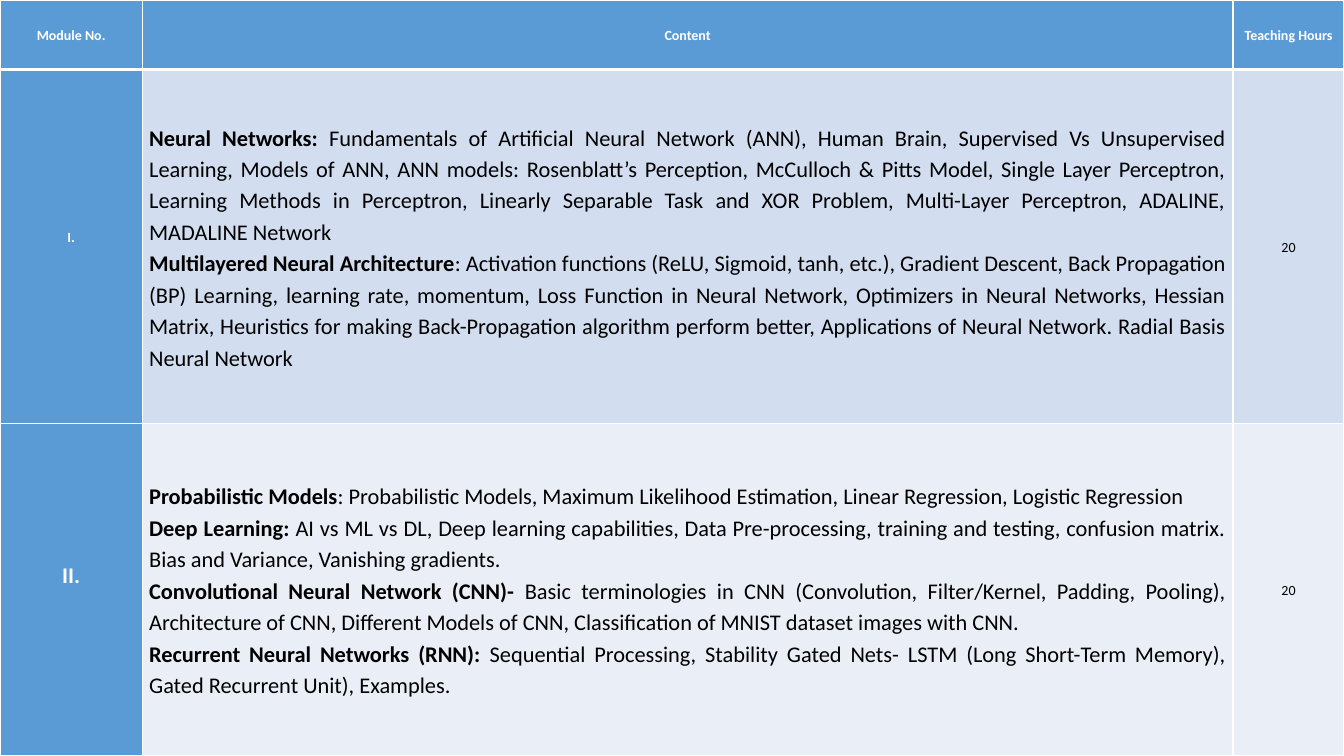
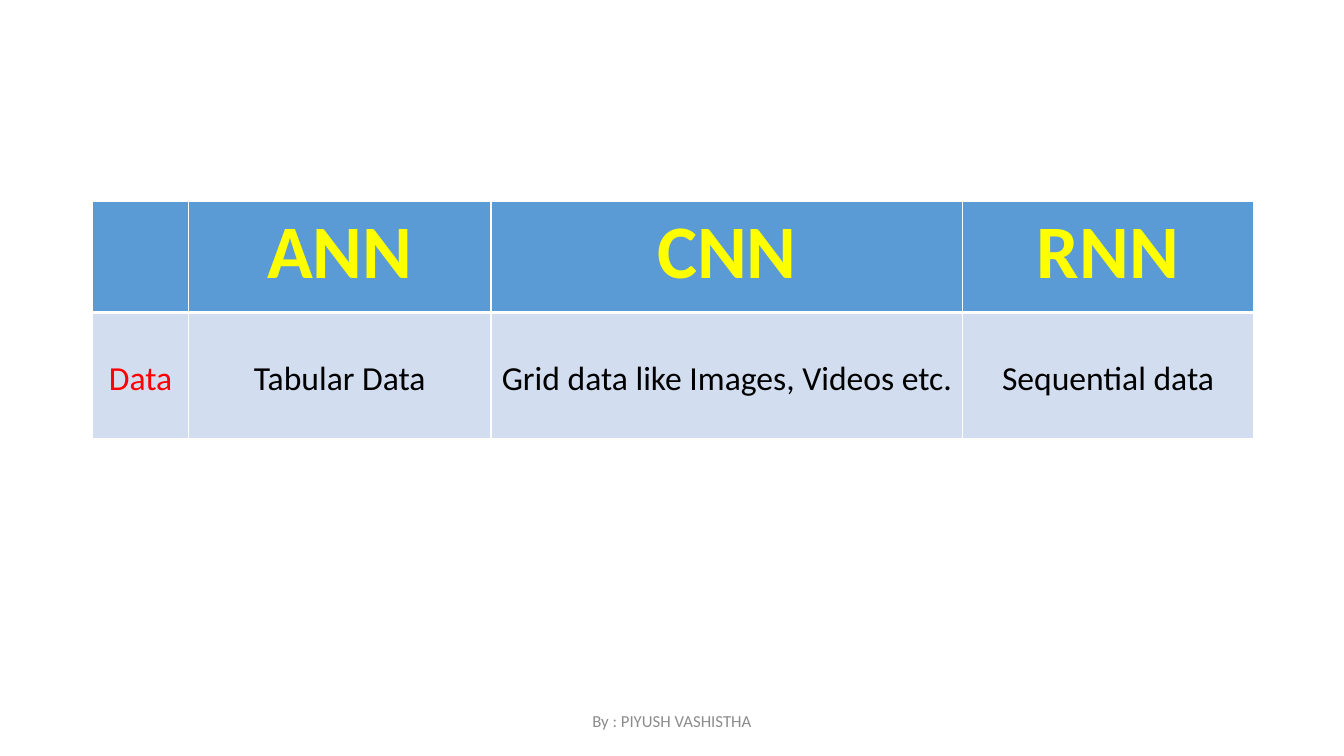
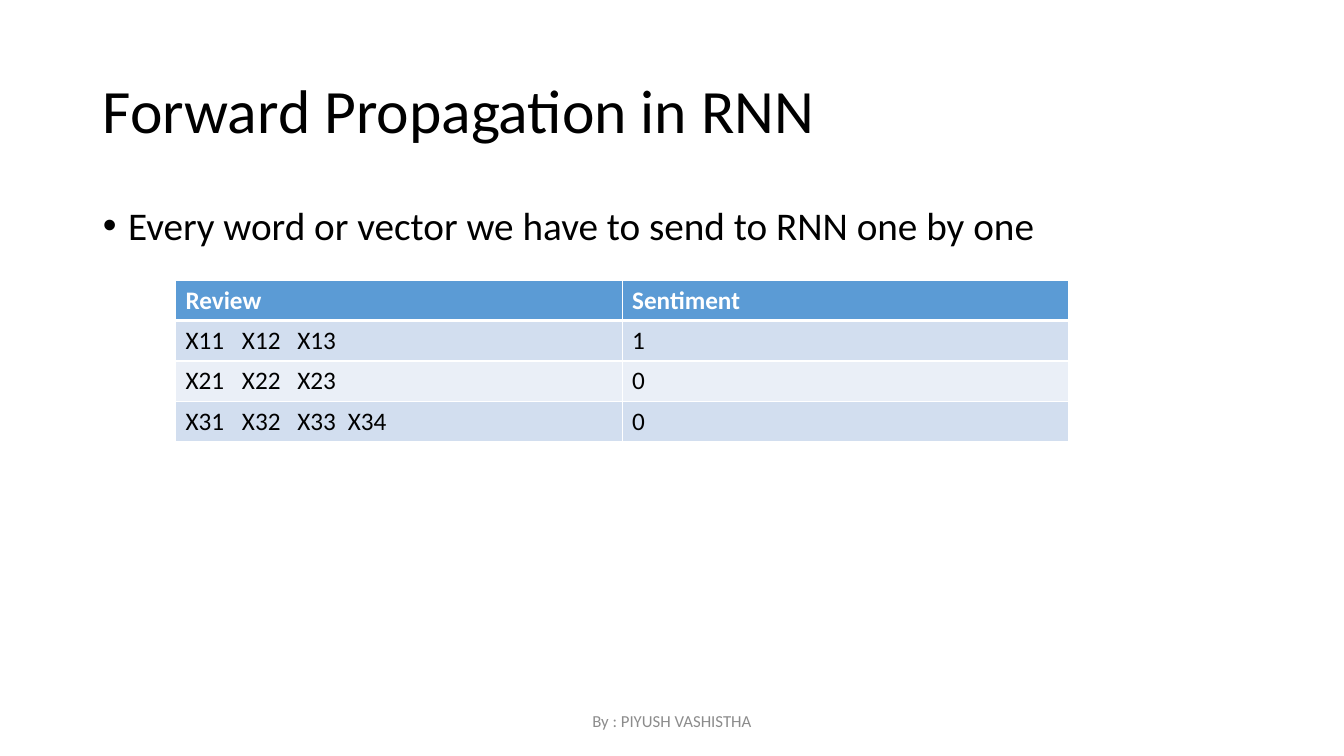
from lxml import etree
from pptx import Presentation
from pptx.dml.color import RGBColor
from pptx.enum.text import MSO_ANCHOR, MSO_AUTO_SIZE, PP_ALIGN
from pptx.oxml.ns import qn
from pptx.util import Inches, Pt

LEFT, CENTER, JUSTIFY = PP_ALIGN.LEFT, PP_ALIGN.CENTER, PP_ALIGN.JUSTIFY
TOP, MIDDLE = MSO_ANCHOR.TOP, MSO_ANCHOR.MIDDLE
NO_FIT = MSO_AUTO_SIZE.NONE

BLUE = RGBColor(0x5B, 0x9B, 0xD5)
BAND_DARK = RGBColor(0xD2, 0xDE, 0xEF)
BAND_LIGHT = RGBColor(0xEA, 0xEF, 0xF7)
WHITE = RGBColor(0xFF, 0xFF, 0xFF)
BLACK = RGBColor(0, 0, 0)
RED = RGBColor(0xFF, 0, 0)
YELLOW = RGBColor(0xFF, 0xFF, 0)
GRAY = RGBColor(0x8C, 0x8C, 0x8C)

FONT = "Calibri"
SLIDE_W, SLIDE_H = 13.33, 7.5
MARGIN = 0.92
CONTENT_W = SLIDE_W - 2 * MARGIN
BODY_TOP = 2
FOOTER_W = 4.5
LINE, HEADER_LINE = 1, 3
TITLE_AND_CONTENT, BLANK = 1, 6

# Each paragraph is a bold lead followed by plain text
MODULE_1 = [
    ("Neural Networks: ",
     "Fundamentals of Artificial Neural Network (ANN), Human Brain, Supervised Vs "
     "Unsupervised Learning, Models of ANN, ANN models: Rosenblatt’s Perception, "
     "McCulloch & Pitts Model, Single Layer Perceptron, Learning Methods in Perceptron, "
     "Linearly Separable Task and XOR Problem, Multi-Layer Perceptron, ADALINE, "
     "MADALINE Network"),
    ("Multilayered Neural Architecture",
     ": Activation functions (ReLU, Sigmoid, tanh, etc.), Gradient Descent, Back "
     "Propagation (BP) Learning, learning rate, momentum, Loss Function in Neural "
     "Network, Optimizers in Neural Networks, Hessian Matrix, Heuristics for making "
     "Back-Propagation algorithm perform better, Applications of Neural Network. "
     "Radial Basis Neural Network"),
]
MODULE_2 = [
    ("Probabilistic Models",
     ": Probabilistic Models, Maximum Likelihood Estimation, Linear Regression, "
     "Logistic Regression"),
    ("Deep Learning: ",
     "AI vs ML vs DL, Deep learning capabilities, Data Pre-processing, training and "
     "testing, confusion matrix. Bias and Variance, Vanishing gradients."),
    ("Convolutional Neural Network (CNN)- ",
     "Basic terminologies in CNN (Convolution, Filter/Kernel, Padding, Pooling), "
     "Architecture of CNN, Different Models of CNN, Classification of MNIST dataset "
     "images with CNN."),
    ("Recurrent Neural Networks (RNN): ",
     "Sequential Processing, Stability Gated Nets- LSTM (Long Short-Term Memory), "
     "Gated Recurrent Unit), Examples."),
]


def style(p, size, color, bold=False, align=LEFT, spacing=None):
    p.alignment = align
    if spacing:
        p.line_spacing = spacing
    f = p.font
    f.name, f.size, f.bold = FONT, Pt(size), bold
    f.color.rgb = color


def add_tabs(p, stops):
    tabs = etree.SubElement(p._p.get_or_add_pPr(), qn("a:tabLst"))
    for stop in stops:
        etree.SubElement(tabs, qn("a:tab"), pos=str(Inches(stop)), algn="l")


def write(tf, text, size, color, tabs=(), **look):
    """Write one plain paragraph."""
    p = tf.paragraphs[0]
    p.add_run().text = text
    if tabs:
        add_tabs(p, tabs)
    style(p, size, color, **look)
    return p


def write_topics(tf, topics, size, **look):
    """Write paragraphs that open with a bold lead."""
    for i, topic in enumerate(topics):
        p = tf.add_paragraph() if i else tf.paragraphs[0]
        for part, bold in zip(topic, (True, False)):
            r = p.add_run()
            r.text = part
            r.font.bold = bold
        style(p, size, BLACK, **look)


def set_borders(cell, top, bottom):
    tcPr = cell._tc.get_or_add_tcPr()
    for side, width in (("L", LINE), ("R", LINE), ("T", top), ("B", bottom)):
        ln = etree.SubElement(tcPr, qn(f"a:ln{side}"), w=str(Pt(width)))
        fill = etree.SubElement(ln, qn("a:solidFill"))
        etree.SubElement(fill, qn("a:srgbClr"), val=str(WHITE))


def add_grid(s, x, y, cols, rows, blue_first_col=False):
    """Add a table with a blue header, banded rows and white rules."""
    frame = s.shapes.add_table(len(rows), len(cols), Inches(x), Inches(y),
                               Inches(sum(cols)), Inches(sum(rows)))
    table = frame.table
    for col, width in zip(table.columns, cols):
        col.width = Inches(width)
    for i, height in enumerate(rows):
        table.rows[i].height = Inches(height)
        for j in range(len(cols)):
            cell = table.cell(i, j)
            set_borders(cell, HEADER_LINE if i == 1 else LINE,
                        HEADER_LINE if i == 0 else LINE)
            cell.fill.solid()
            if i == 0 or (blue_first_col and j == 0):
                cell.fill.fore_color.rgb = BLUE
            else:
                cell.fill.fore_color.rgb = BAND_DARK if i % 2 else BAND_LIGHT
    return table


def add_footer(s):
    box = s.shapes.add_textbox(Inches((SLIDE_W - FOOTER_W) / 2), Inches(6.95),
                               Inches(FOOTER_W), Inches(0.4))
    tf = box.text_frame
    tf.word_wrap = True
    tf.vertical_anchor = MIDDLE
    write(tf, "By : PIYUSH VASHISTHA", 12, GRAY, align=CENTER)


def place(shape, x, y, w, h, anchor):
    shape.left, shape.top = Inches(x), Inches(y)
    shape.width, shape.height = Inches(w), Inches(h)
    tf = shape.text_frame
    tf.auto_size = NO_FIT
    tf.vertical_anchor = anchor
    return tf


def syllabus_slide(prs):
    s = prs.slides.add_slide(prs.slide_layouts[BLANK])
    table = add_grid(s, 0, 0, [1.41, 10.82, 1.1], [0.69, 3.51, 3.3], blue_first_col=True)
    for cell in table.iter_cells():
        cell.vertical_anchor = MIDDLE
        cell.margin_left = cell.margin_right = Inches(0.07)
        cell.margin_top = cell.margin_bottom = 0
    look = {"align": CENTER, "spacing": 1.15}
    for j, text in enumerate(["Module No.", "Content", "Teaching Hours"]):
        write(table.cell(0, j).text_frame, text, 10, WHITE, bold=True, **look)
    modules = [("I.", 10, MODULE_1, "20"), ("II.", 16, MODULE_2, "20")]
    for i, (number, size, topics, hours) in enumerate(modules, 1):
        number_cell = table.cell(i, 0)
        # Lift the number by half a line
        number_cell.margin_bottom = Pt(1.4 * size)
        write(number_cell.text_frame, number, size, WHITE, bold=True, **look)
        write_topics(table.cell(i, 1).text_frame, topics, 16, align=JUSTIFY, spacing=1.15)
        write(table.cell(i, 2).text_frame, hours, 10, BLACK, **look)


def data_slide(prs):
    s = prs.slides.add_slide(prs.slide_layouts[BLANK])
    table = add_grid(s, MARGIN, BODY_TOP, [0.95, 3, 4.68, 2.88], [1.1, 1.25])
    for j, text in enumerate(["ANN", "CNN", "RNN"], 1):
        write(table.cell(0, j).text_frame, text, 54, YELLOW, bold=True, align=CENTER)
    kinds = ["Data", "Tabular Data", "Grid data like Images, Videos etc.", "Sequential data"]
    for j, text in enumerate(kinds):
        cell = table.cell(1, j)
        cell.margin_top = Inches(0.46)
        write(cell.text_frame, text, 24, BLACK if j else RED, align=CENTER)
    add_footer(s)


def propagation_slide(prs):
    s = prs.slides.add_slide(prs.slide_layouts[TITLE_AND_CONTENT])
    tf = place(s.shapes.title, MARGIN, 0.4, CONTENT_W, 1.45, MIDDLE)
    write(tf, "Forward Propagation in RNN", 44, BLACK, spacing=0.9)
    tf = place(s.placeholders[1], MARGIN, BODY_TOP, CONTENT_W, 4.76, TOP)
    p = write(tf, "Every word or vector we have to send to RNN one by one", 28, BLACK,
              spacing=0.9)
    p.space_before = 0
    pPr = p._p.get_or_add_pPr()
    pPr.set("marL", str(Inches(0.25)))
    pPr.set("indent", str(-Inches(0.25)))
    add_footer(s)

    # Reviews as word vectors with their sentiment
    rows = [("Review", "Sentiment"), ("X11\tX12\tX13", "1"),
            ("X21\tX22\tX23", "0"), ("X31\tX32\tX33\tX34", "0")]
    table = add_grid(s, 1.74, 2.78, [4.43] * 2, [0.4] * len(rows))
    for i, row in enumerate(rows):
        for j, text in enumerate(row):
            write(table.cell(i, j).text_frame, text, 18, BLACK if i else WHITE,
                  bold=i == 0, tabs=(0.56, 1.11, 1.61) if "\t" in text else ())


def main():
    prs = Presentation()
    prs.slide_width, prs.slide_height = Inches(SLIDE_W), Inches(SLIDE_H)
    syllabus_slide(prs)
    data_slide(prs)
    propagation_slide(prs)
    prs.save("out.pptx")


if __name__ == "__main__":
    main()
